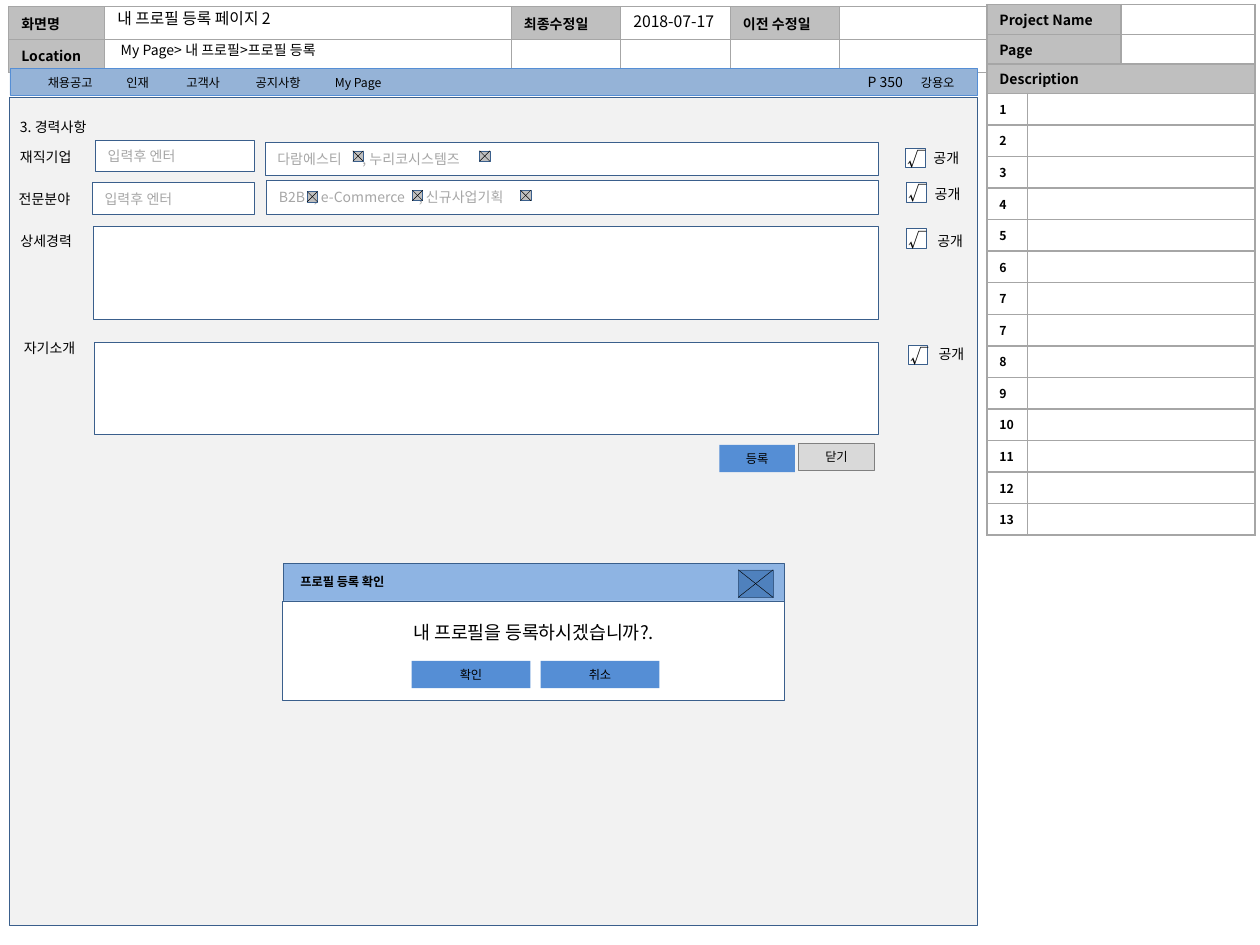
"""Build the profile registration wireframe slide."""
from dataclasses import dataclass
from typing import Any

from lxml import etree
from pptx import Presentation
from pptx.dml.color import RGBColor
from pptx.enum.shapes import MSO_CONNECTOR, MSO_SHAPE
from pptx.enum.text import MSO_ANCHOR, MSO_AUTO_SIZE, PP_ALIGN
from pptx.oxml.ns import qn
from pptx.util import Pt

RECTANGLE = MSO_SHAPE.RECTANGLE
STRAIGHT = MSO_CONNECTOR.STRAIGHT
LEFT, CENTER = PP_ALIGN.LEFT, PP_ALIGN.CENTER
MIDDLE = MSO_ANCHOR.MIDDLE
FONT_NAME = "Noto Sans CJK KR"
COLORS = {
    "black": "000000", "white": "FFFFFF", "hint": "A6A6A6", "grid": "A6A6A6",
    "label": "BFBFBF", "panel": "F2F2F2", "outline": "3A5F8C", "navigation": "95B3D7",
    "navigation_line": "558ED5", "button": "558ED5", "muted": "D9D9D9",
    "muted_line": "808080", "dialog": "8EB4E3", "close": "4F81BD",
}
CELL_FORMAT = {"margin_left": Pt(7.2), "margin_right": Pt(7.2), "margin_top": 0,
               "margin_bottom": 0, "vertical_anchor": MIDDLE}
FRAME_FORMAT = {"margin_left": Pt(7.2), "margin_right": Pt(7.2), "margin_top": 0,
                "margin_bottom": 0, "vertical_anchor": MIDDLE, "word_wrap": True,
                "auto_size": MSO_AUTO_SIZE.NONE}


@dataclass(frozen=True)
class Area:
    """Position and size in points."""
    left: float
    top: float
    width: float
    height: float

    def lengths(self) -> tuple[Pt, ...]:
        """Return the four lengths for a shape call."""
        return Pt(self.left), Pt(self.top), Pt(self.width), Pt(self.height)


@dataclass(frozen=True)
class Style:
    """Look of a piece of text."""
    size: float = 8
    color: str = "black"
    bold: bool = False
    alignment: Any = LEFT
    tabs: tuple[float, ...] = ()


@dataclass(frozen=True)
class Box:
    """Rectangle with an optional outline and text."""
    area: Area
    fill: str = "white"
    line: str | None = "outline"
    text: str = ""
    style: Style = Style()
    line_width: float = 0.25


SMALL = Style(7)
HEADING = Style(8, bold=True)
NUMBER = Style(7, bold=True)
BUTTON = Style(7, alignment=CENTER)
HINT = Style(8, "hint")


def rgb(name: str) -> RGBColor:
    """Look up a named color."""
    return RGBColor.from_string(COLORS[name])


def apply_format(target: Any, values: dict[str, Any]) -> None:
    """Set each format value on the target."""
    for name, value in values.items():
        setattr(target, name, value)


def write(frame: Any, text: str, style: Style) -> None:
    """Write one formatted paragraph."""
    paragraph = frame.paragraphs[0]
    paragraph.alignment = style.alignment
    if style.tabs:
        stops = etree.SubElement(paragraph._p.get_or_add_pPr(), qn("a:tabLst"))
        for stop in style.tabs:
            etree.SubElement(stops, qn("a:tab"), pos=str(Pt(stop)), algn="l")
    run = paragraph.add_run()
    run.text = text
    apply_format(run.font, {"name": FONT_NAME, "size": Pt(style.size), "bold": style.bold})
    run.font.color.rgb = rgb(style.color)
    etree.SubElement(run.font._element, qn("a:ea"), typeface=FONT_NAME)


def add_text(slide: Any, area: Area, text: str, style: Style = Style()) -> None:
    """Add a text box."""
    frame = slide.shapes.add_textbox(*area.lengths()).text_frame
    apply_format(frame, FRAME_FORMAT)
    write(frame, text, style)


def add_box(shapes: Any, box: Box) -> None:
    """Add a rectangle."""
    shape = shapes.add_shape(RECTANGLE, *box.area.lengths())
    shape.shadow.inherit = False
    shape.fill.solid()
    shape.fill.fore_color.rgb = rgb(box.fill)
    if box.line:
        shape.line.color.rgb = rgb(box.line)
        shape.line.width = Pt(box.line_width)
    else:
        shape.line.fill.background()
    if box.text:
        apply_format(shape.text_frame, FRAME_FORMAT)
        write(shape.text_frame, box.text, box.style)


def add_crossed_box(slide: Any, area: Area, fill: str) -> None:
    """Add a grouped rectangle with both diagonals."""
    shapes = slide.shapes.add_group_shape().shapes
    add_box(shapes, Box(area, fill))
    right, bottom = area.left + area.width, area.top + area.height
    for start, end in ((area.left, right), (right, area.left)):
        connector = shapes.add_connector(STRAIGHT, Pt(start), Pt(area.top), Pt(end), Pt(bottom))
        connector.line.color.rgb = rgb("black")
        connector.line.width = Pt(0.25)
        etree.SubElement(connector._element.spPr, qn("a:effectLst"))


def add_public_check(slide: Any, left: float, top: float, label_left: float, label_top: float) -> None:
    """Add a ticked check box with its label."""
    add_box(slide.shapes, Box(Area(left, top, 11.3, 11.3)))
    add_text(slide, Area(left - 5.6, top - 4, 22.3, 20.9), "√", Style(10.5))
    add_text(slide, Area(label_left, label_top, 39.6, 17.3), "공개")


def add_grid(slide: Any, left: float, top: float, columns: list[float], rows: list[float]) -> Any:
    """Add an unstyled table with given column widths and row heights."""
    area = Area(left, top, sum(columns), sum(rows))
    table = slide.shapes.add_table(len(rows), len(columns), *area.lengths()).table
    apply_format(table, {"first_row": False, "horz_banding": False})
    for column, width in zip(table.columns, columns):
        column.width = Pt(width)
    for row, height in zip(table.rows, rows):
        row.height = Pt(height)
    return table


def fill_cell(cell: Any, text: str, style: Style, borders: dict[str, float]) -> None:
    """Format a cell, with gray fill for headings."""
    apply_format(cell, CELL_FORMAT)
    properties = cell._tc.get_or_add_tcPr()
    for side, width in borders.items():
        line = etree.SubElement(properties, qn(f"a:ln{side}"), w=str(Pt(width)))
        solid = etree.SubElement(line, qn("a:solidFill"))
        etree.SubElement(solid, qn("a:srgbClr"), val=COLORS["grid"])
    cell.fill.solid()
    cell.fill.fore_color.rgb = rgb("label" if text and style == HEADING else "white")
    if text:
        write(cell.text_frame, text, style)
    else:
        etree.SubElement(cell.text_frame.paragraphs[0]._p, qn("a:endParaRPr"), sz="700")


def add_screen_table(slide: Any) -> None:
    """Add the screen information table."""
    contents = [["화면명", "", "최종수정일", "", "이전 수정일", ""], ["Location"] + [""] * 5]
    table = add_grid(slide, 5, 3.8, [54.7, 232.5, 62.6, 62.6, 62.6, 85], [18.7] * 2)
    for row, texts in enumerate(contents):
        for column, text in enumerate(texts):
            fill_cell(table.cell(row, column), text, HEADING, dict.fromkeys("LRTB", 0.5))


def add_description_table(slide: Any) -> None:
    """Add the project and description table."""
    headings = ["Project Name", "Page", "Description"]
    numbers = [str(number) for number in (*range(1, 8), *range(7, 14))]
    rows = [16.9] * len(headings) + [18.05] * len(numbers)
    table = add_grid(slide, 563.9, 2.7, [23.1, 53.7, 76.6], rows)
    for row, text in enumerate(headings + numbers):
        is_heading = row < len(headings)
        inner = 1 if is_heading else 0.5
        for column in range(3):
            borders = {"L": inner if column else 1, "R": 1 if column else inner, "T": 1, "B": 1}
            fill_cell(table.cell(row, column), "" if column else text,
                      HEADING if is_heading else NUMBER, borders)
        first, last = ((0, 2 if text == "Description" else 1) if is_heading else (1, 2))
        table.cell(row, first).merge(table.cell(row, last))


def main() -> None:
    """Build and save the presentation."""
    presentation = Presentation()
    apply_format(presentation, {"slide_width": Pt(720), "slide_height": Pt(540)})
    slide = presentation.slides.add_slide(presentation.slide_layouts[5])
    add_screen_table(slide)
    title = slide.shapes.title
    slide.shapes._spTree.append(title._element)
    title.left, title.top, title.width, title.height = Area(59.8, 1.4, 221, 18).lengths()
    apply_format(title.text_frame, FRAME_FORMAT)
    write(title.text_frame, "내 프로필 등록 페이지 2", Style(9))
    add_description_table(slide)

    for box in (
        Box(Area(5.6, 39.1, 553, 15.3), "navigation", "navigation_line"),
        Box(Area(5.25, 55.6, 553, 473), "panel"),
        Box(Area(53.3, 129.3, 448.6, 53.3)),
        Box(Area(54, 195.4, 447.9, 52.8)),
        Box(Area(54.5, 80.1, 91, 17.7), text="입력후 엔터", style=HINT),
        Box(Area(52.7, 104.2, 92.5, 18.4), text="입력후 엔터", style=HINT),
        Box(Area(151.4, 81.3, 350.5, 18.9), text="다람에스티\t, 누리코시스템즈",
            style=Style(8, "hint", tabs=(48.6,))),
        Box(Area(152.3, 103.1, 349.6, 19.4), text="B2B\t, e-Commerce\t, 신규사업기획",
            style=Style(8, "hint", tabs=(20, 80))),
        Box(Area(411.1, 254.2, 43.2, 15.6), "button", None, "등록", BUTTON),
        Box(Area(456.3, 253.3, 43.4, 15.6), "muted", "muted_line", "닫기", BUTTON, 0.75),
        Box(Area(162, 321.8, 286, 21.6), "dialog"),
        Box(Area(161.3, 343.4, 286.7, 56.9)),
        Box(Area(169.9, 344.6, 270, 33.1), "white", None, "내 프로필을 등록하시겠습니까?.",
            Style(10.5, alignment=CENTER)),
        Box(Area(235.2, 377.6, 67.9, 15.7), "button", None, "확인", BUTTON),
        Box(Area(308.9, 377.6, 67.9, 15.7), "button", None, "취소", BUTTON),
    ):
        add_box(slide.shapes, box)

    for left, text in ((20.2, "채용공고"), (65.2, "인재"), (99.4, "고객사"),
                       (139, "공지사항"), (184.3, "My Page"), (519.1, "강용오")):
        add_text(slide, Area(left, 39.1, 54, 15.8), text, SMALL)
    for left, top, text in ((4.3, 64, "3. 경력사항"), (4.3, 81.2, "재직기업"), (3.6, 104.8, "전문분야"),
                            (4.6, 129.2, "상세경력"), (6.5, 190.4, "자기소개"), (488.7, 38.2, "P 350")):
        add_text(slide, Area(left, top, 65, 17.3), text)
    add_text(slide, Area(354.8, 3, 67.7, 18), "2018-07-17", Style(9))
    add_text(slide, Area(61.9, 20, 186.5, 17.3), "My Page> 내 프로필>프로필 등록")
    add_text(slide, Area(164.6, 324.5, 124, 15.8), "프로필 등록 확인", NUMBER)

    add_crossed_box(slide, Area(421.8, 325.6, 20, 15.8), "close")
    for left, top in ((201.6, 86.2), (274, 86.2), (175.5, 109.4), (235.6, 108.7), (297.4, 108.7)):
        add_crossed_box(slide, Area(left, top, 6, 6), "label")
    for check in ((517.2, 84.5, 526.3, 81.8), (517.8, 104, 527, 102.2),
                  (517.8, 130.5, 528.5, 129.1), (518.7, 197, 529.2, 193.9)):
        add_public_check(slide, *check)
    presentation.save("out.pptx")


if __name__ == "__main__":
    main()
